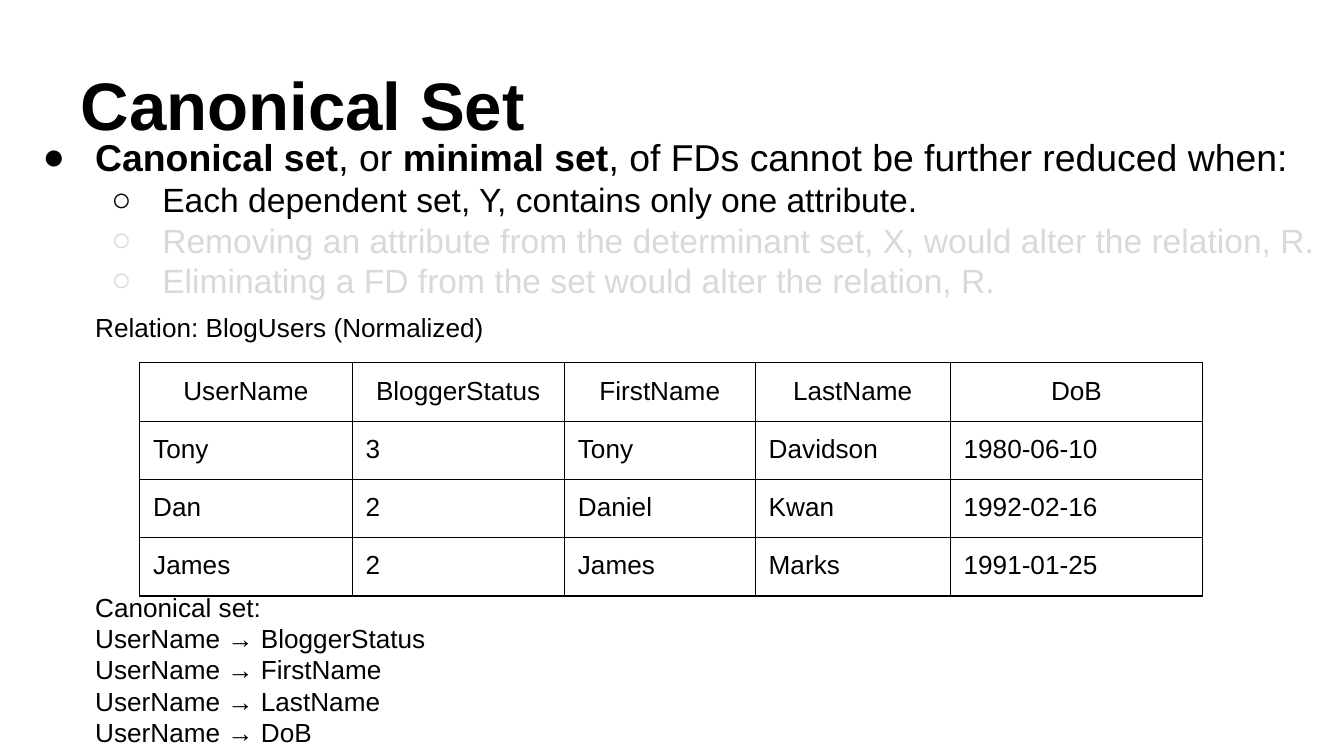
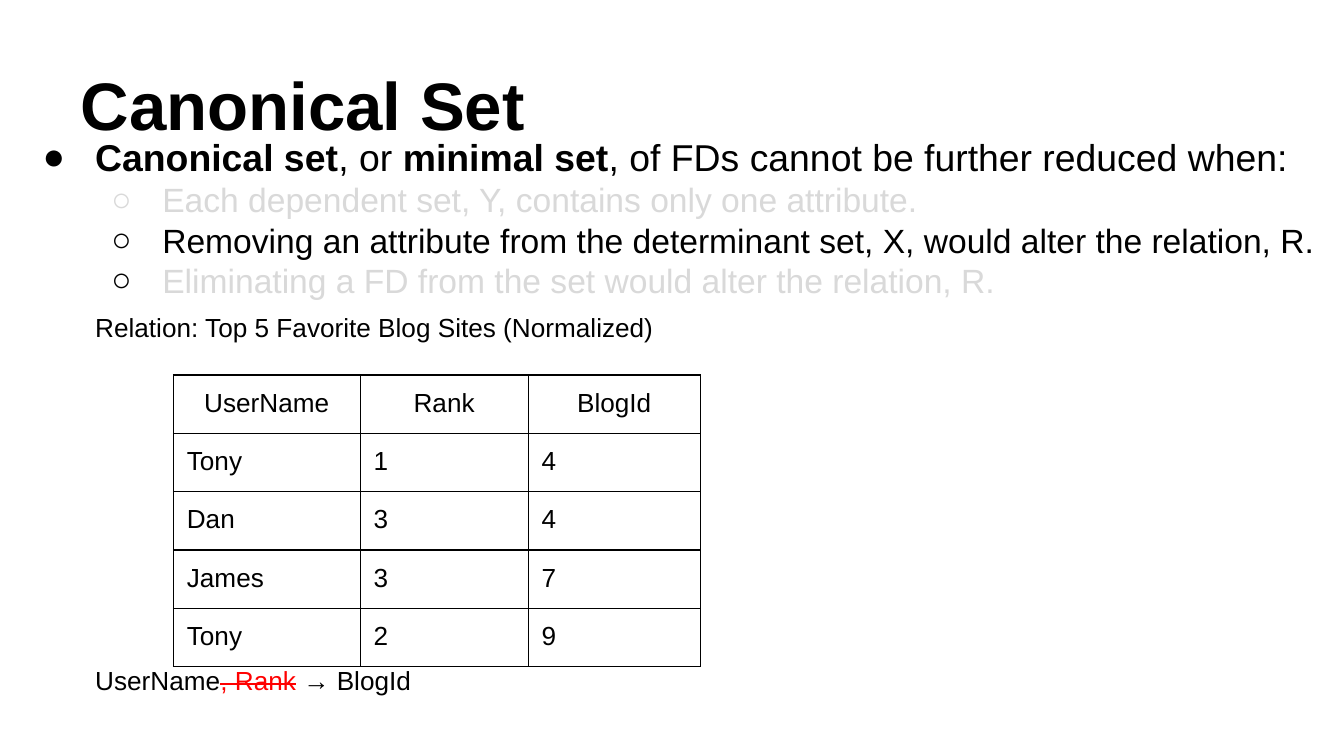
import pptx
import pptx.dml.color
import pptx.enum.text
import pptx.oxml
import pptx.oxml.ns
import pptx.util

BLACK = pptx.dml.color.RGBColor(0x00, 0x00, 0x00)
DIMMED = pptx.dml.color.RGBColor(0xD9, 0xD9, 0xD9)
RED = pptx.dml.color.RGBColor(0xFF, 0x00, 0x00)
FONT = "Arial"
ALIGN = pptx.enum.text.PP_ALIGN
ANCHOR = pptx.enum.text.MSO_ANCHOR

presentation = pptx.Presentation()
presentation.slide_width = pptx.util.Inches(10)
presentation.slide_height = pptx.util.Inches(5.625)

# The grid has 100 square columns across the slide; rows share their size.
UNIT = presentation.slide_width // 100
INSET = UNIT
TABLE_ROW = 4.18

CRITERIA = [
    "Each dependent set, Y, contains only one attribute.",
    "Removing an attribute from the determinant set, X, would alter the relation, R.",
    "Eliminating a FD from the set would alter the relation, R.",
]
INTRODUCTION = [
    ("Canonical set", True),
    (", or ", False),
    ("minimal set", True),
    (", of FDs cannot be further reduced when:", False),
]
BLOG_USERS = [
    ["UserName", "BloggerStatus", "FirstName", "LastName", "DoB"],
    ["Tony", "3", "Tony", "Davidson", "1980-06-10"],
    ["Dan", "2", "Daniel", "Kwan", "1992-02-16"],
    ["James", "2", "James", "Marks", "1991-01-25"],
]
FAVORITE_SITES = [
    ["UserName", "Rank", "BlogId"],
    ["Tony", "1", "4"],
    ["Dan", "3", "4"],
    ["James", "3", "7"],
    ["Tony", "2", "9"],
]
DEPENDENTS = BLOG_USERS[0][1:]

# Text colours and bullet colours follow the order of CRITERIA.
# Each closing line is a list of (text, colour) runs.
SLIDES = [
    {
        "text_colors": [BLACK, DIMMED, DIMMED],
        "bullet_colors": [BLACK, DIMMED, DIMMED],
        "relation": "Relation: BlogUsers (Normalized)",
        "table": BLOG_USERS,
        "corner": (10.4, 27),
        "columns": [15.8, 15.8, 14.2, 14.5, 18.8],
        "closing_gap": 133,
        "closing": [[("Canonical set:", BLACK)]]
        + [[(f"UserName → {name}", BLACK)] for name in DEPENDENTS],
    },
    {
        "text_colors": [DIMMED, BLACK, DIMMED],
        "bullet_colors": [DIMMED, BLACK, BLACK],
        "relation": "Relation: Top 5 Favorite Blog Sites (Normalized)",
        "table": FAVORITE_SITES,
        "corner": (12.9, 27.9),
        "columns": [13.9, 12.5, 12.8],
        "closing_gap": 172.5,
        "closing": [[("UserName", BLACK), (", Rank", RED), (" → BlogId", BLACK)]],
    },
]


def add_run(paragraph, text, size, color=BLACK, bold=False):
    """Add one run in the shared font; red text is struck through."""
    run = paragraph.add_run()
    run.text = text
    run.font.name = FONT
    run.font.size = pptx.util.Pt(size)
    run.font.bold = bold
    run.font.color.rgb = color
    if color == RED:
        run._r.get_or_add_rPr().set("strike", "sngStrike")


def set_indent(paragraph, margin, hanging=0, bullet=None, color=BLACK):
    """Indent a paragraph by grid columns and give it an optional bullet."""
    properties = paragraph._p.get_or_add_pPr()
    properties.set("marL", str(int(margin * UNIT)))
    properties.set("indent", str(int(-hanging * UNIT)))
    if bullet:
        namespace = pptx.oxml.ns.nsdecls("a")
        for markup in (
            f'<a:buClr {namespace}><a:srgbClr val="{color}"/></a:buClr>',
            f'<a:buFont {namespace} typeface="{FONT}"/>',
            f'<a:buChar {namespace} char="{bullet}"/>',
        ):
            properties.append(pptx.oxml.parse_xml(markup))


for content in SLIDES:
    slide = presentation.slides.add_slide(presentation.slide_layouts[5])

    # Title
    title = slide.shapes.title
    title.left, title.top = 5 * UNIT, int(2.3 * UNIT)
    title.width, title.height = 90 * UNIT, int(9.4 * UNIT)
    title.text_frame.vertical_anchor = ANCHOR.BOTTOM
    title.text_frame.paragraphs[0].alignment = ALIGN.LEFT
    add_run(title.text_frame.paragraphs[0], "Canonical Set", 36, bold=True)

    # Definition, relation name and dependencies
    body = slide.shapes.add_textbox(
        int(1.1 * UNIT), 9 * UNIT, 98 * UNIT, int(46.8 * UNIT)
    )
    body.text_frame.word_wrap = True
    for frame in (title.text_frame, body.text_frame):
        frame.margin_left = frame.margin_right = INSET
        frame.margin_top = frame.margin_bottom = INSET

    paragraph = body.text_frame.paragraphs[0]
    paragraph.space_before = pptx.util.Pt(6)
    set_indent(paragraph, 5, 3.9, "●")
    for text, bold in INTRODUCTION:
        add_run(paragraph, text, 20, bold=bold)

    for text, color, bullet_color in zip(
        CRITERIA, content["text_colors"], content["bullet_colors"]
    ):
        paragraph = body.text_frame.add_paragraph()
        paragraph.level = 1
        set_indent(paragraph, 10, 3.8, "○", bullet_color)
        add_run(paragraph, text, 18, color)

    paragraph = body.text_frame.add_paragraph()
    paragraph.space_before = pptx.util.Pt(6)
    set_indent(paragraph, 5)
    add_run(paragraph, content["relation"], 14)

    paragraph = body.text_frame.add_paragraph()
    paragraph.space_before = pptx.util.Pt(content["closing_gap"])
    set_indent(paragraph, 5)
    for line_number, line in enumerate(content["closing"]):
        if line_number:
            paragraph.add_line_break()
        for text, color in line:
            add_run(paragraph, text, 14, color)

    # Relation table
    rows = content["table"]
    left, top = content["corner"]
    table = slide.shapes.add_table(
        len(rows),
        len(rows[0]),
        int(left * UNIT),
        int(top * UNIT),
        int(sum(content["columns"]) * UNIT),
        int(len(rows) * TABLE_ROW * UNIT),
    ).table
    table.first_row = table.horz_banding = False
    for column, width in zip(table.columns, content["columns"]):
        column.width = int(width * UNIT)
    for row_number, values in enumerate(rows):
        table.rows[row_number].height = int(TABLE_ROW * UNIT)
        for column_number, value in enumerate(values):
            cell = table.cell(row_number, column_number)
            cell.margin_left = cell.margin_right = INSET
            cell.margin_top = cell.margin_bottom = INSET
            paragraph = cell.text_frame.paragraphs[0]
            paragraph.alignment = ALIGN.LEFT if row_number else ALIGN.CENTER
            add_run(paragraph, value, 14)
            properties = cell._tc.get_or_add_tcPr()
            for side in ("lnL", "lnR", "lnT", "lnB"):
                properties.append(pptx.oxml.parse_xml(
                    f'<a:{side} {pptx.oxml.ns.nsdecls("a")} w="{pptx.util.Pt(0.75)}">'
                    f'<a:solidFill><a:srgbClr val="{BLACK}"/></a:solidFill></a:{side}>'
                ))
            cell.fill.background()

presentation.save("out.pptx")
